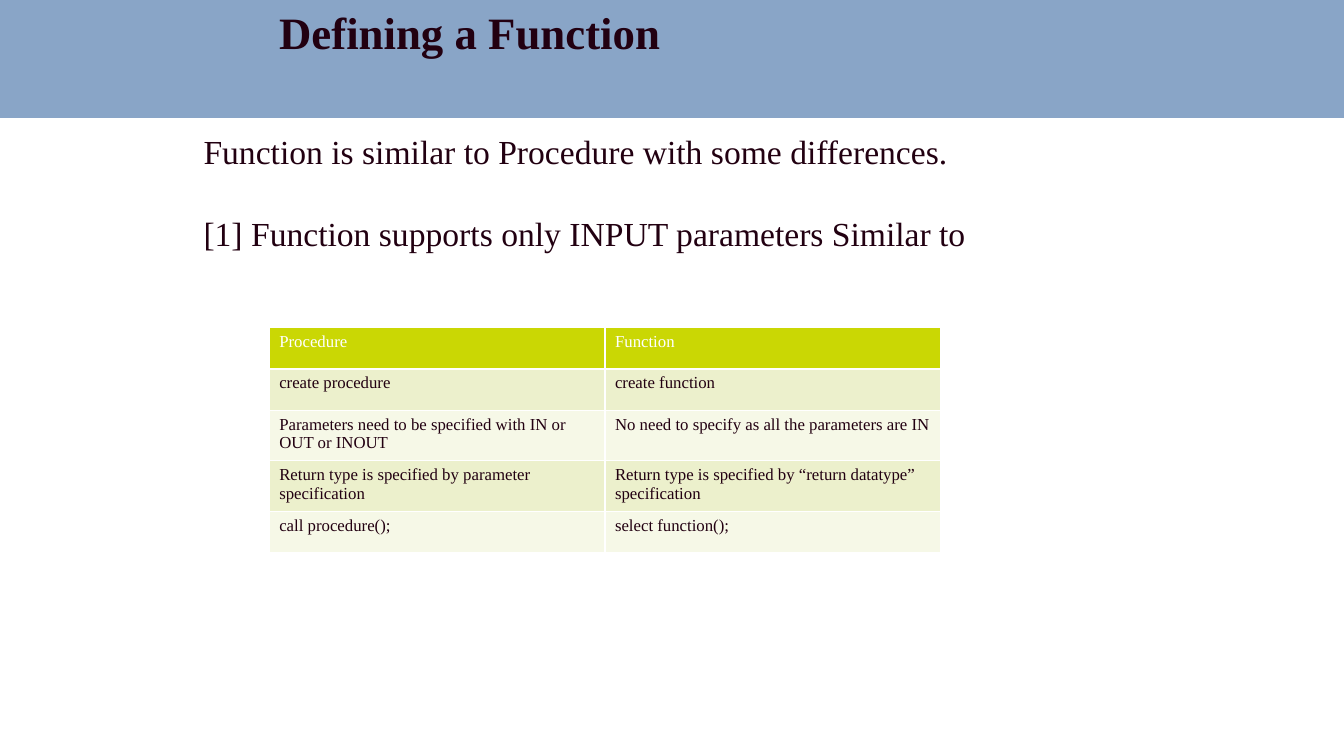
from lxml import etree
from pptx import Presentation
from pptx.dml.color import RGBColor
from pptx.enum.shapes import MSO_SHAPE as Preset
from pptx.oxml.ns import qn
from pptx.util import Inches, Pt

# Content
TITLE = "Defining a Function"
STATEMENTS = [
    "Function is similar to Procedure with some differences.",
    "[1] Function supports only INPUT parameters Similar to",
]
COMPARISON = [
    ("Procedure", "Function"),
    ("create procedure", "create function"),
    ("Parameters need to be specified with IN or OUT or INOUT",
     "No need to specify as all the parameters are IN"),
    ("Return type is specified by parameter specification",
     "Return type is specified by “return datatype” specification"),
    ("call procedure();", "select function();"),
]

# Colours and formats
WHITE = RGBColor(0xFF, 0xFF, 0xFF)
INK = RGBColor(0x22, 0x00, 0x11)
BANNER_BLUE = RGBColor(0x89, 0xA5, 0xC7)
HEADER_LIME = RGBColor(0xCA, 0xD7, 0x04)
BANDS = [RGBColor(0xF6, 0xF8, 0xE7), RGBColor(0xEC, 0xF0, 0xCC)]
FONT = "Times New Roman"
TITLE_FORMAT = {"name": FONT, "size": Pt(32), "bold": True}
BODY_FORMAT = {"name": FONT, "size": Pt(24)}
CELL_FORMAT = {"name": FONT, "size": Pt(12), "bold": False}

# Table layout
COLUMN_WIDTH, ROW_HEIGHT = Inches(3.33), Inches(0.41)


def write(text_frame, lines, font_format, color, gap=0):
    text_frame.word_wrap = True
    for index, line in enumerate(lines):
        paragraph = text_frame.add_paragraph() if index else text_frame.paragraphs[0]
        if index:
            paragraph.space_before = Pt(gap)
        run = paragraph.add_run()
        run.text = line
        for name, value in font_format.items():
            setattr(run.font, name, value)
        run.font.color.rgb = color


def add_text(slide, box, lines, font_format, gap=0):
    shape = slide.shapes.add_textbox(*(Inches(length) for length in box))
    write(shape.text_frame, lines, font_format, INK, gap)


def add_borders(cell, color, width):
    properties = cell._tc.get_or_add_tcPr()
    for index, side in enumerate(("lnL", "lnR", "lnT", "lnB")):
        line = etree.Element(qn(f"a:{side}"), w=str(Pt(width)))
        fill = etree.SubElement(line, qn("a:solidFill"))
        etree.SubElement(fill, qn("a:srgbClr"), val=str(color))
        properties.insert(index, line)


def main():
    presentation = Presentation()
    presentation.slide_width = Inches(13.33)
    presentation.slide_height = Inches(7.5)
    slide = presentation.slides.add_slide(presentation.slide_layouts[6])

    # Banner
    banner = slide.shapes.add_shape(
        Preset.RECTANGLE, 0, 0, presentation.slide_width, Inches(1.17))
    banner.shadow.inherit = False
    banner.fill.solid()
    banner.fill.fore_color.rgb = BANNER_BLUE
    banner.line.fill.background()

    # Title and statements
    add_text(slide, (2.67, 0, 8.58, 0.64), [TITLE], TITLE_FORMAT)
    add_text(slide, (1.92, 1.25, 9.25, 1.31), STATEMENTS, BODY_FORMAT, gap=30)

    # Comparison table
    row_count, column_count = len(COMPARISON), len(COMPARISON[0])
    table = slide.shapes.add_table(
        row_count, column_count, Inches(2.67), Inches(3.25),
        COLUMN_WIDTH * column_count, ROW_HEIGHT * row_count).table
    table.first_row = table.horz_banding = False
    for row_index, texts in enumerate(COMPARISON):
        is_header = row_index == 0
        for column_index, text in enumerate(texts):
            cell = table.cell(row_index, column_index)
            cell.fill.solid()
            cell.fill.fore_color.rgb = HEADER_LIME if is_header else BANDS[row_index % 2]
            write(cell.text_frame, [text], CELL_FORMAT, WHITE if is_header else INK)
            add_borders(cell, WHITE, 1)

    presentation.save("out.pptx")


if __name__ == "__main__":
    main()
